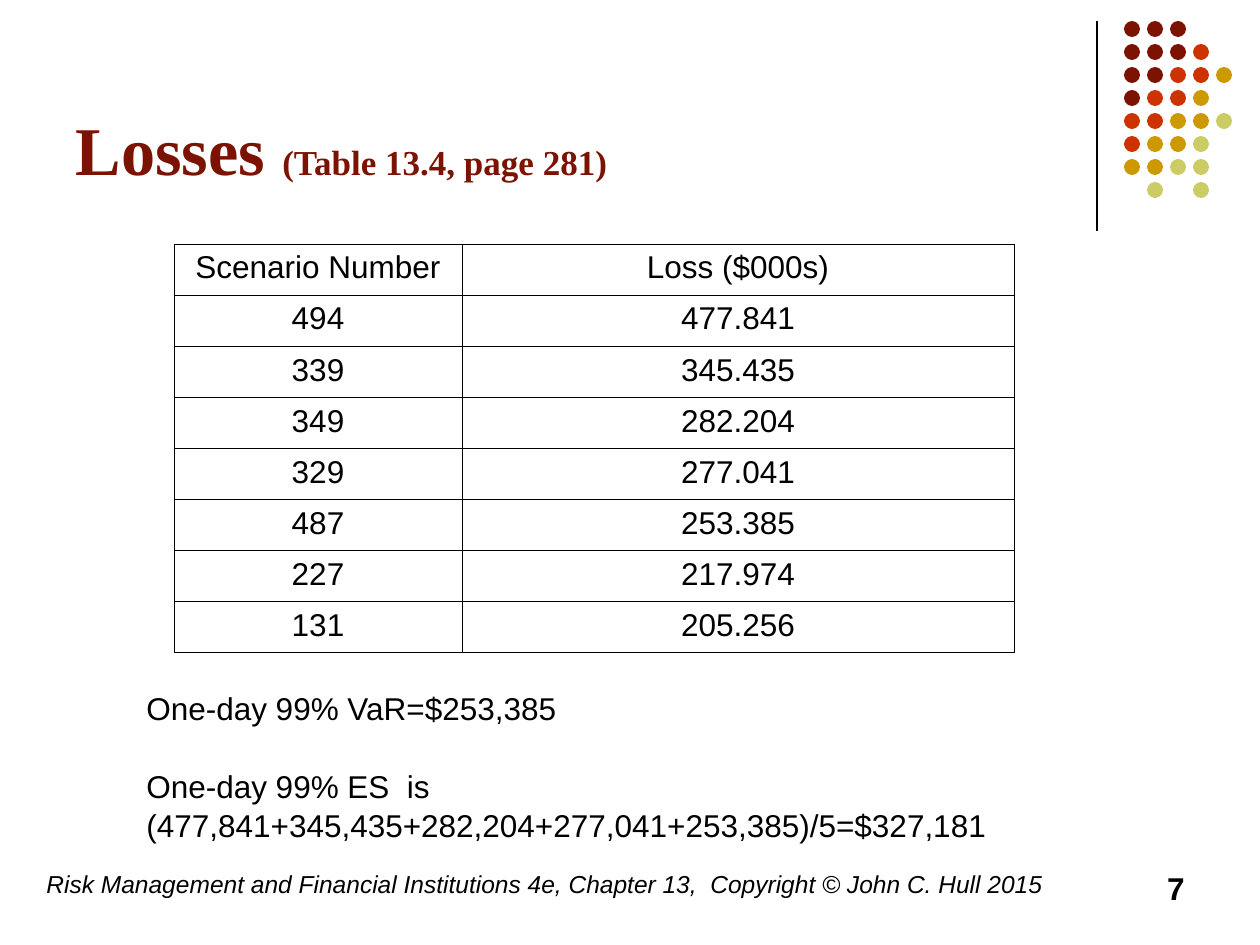
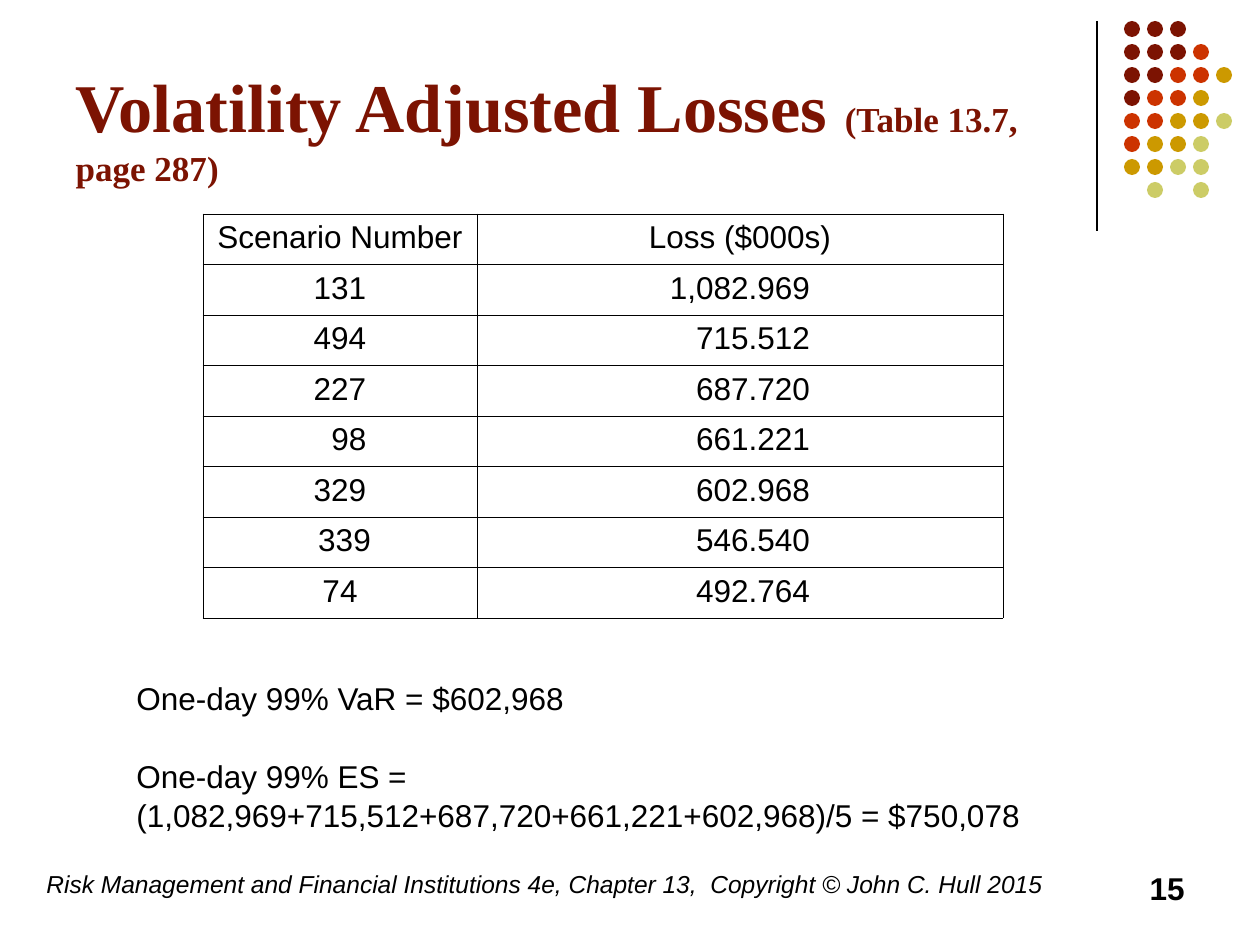
from lxml import etree
from pptx import Presentation
from pptx.dml.color import RGBColor
from pptx.enum.shapes import MSO_CONNECTOR, MSO_SHAPE
from pptx.enum.text import MSO_ANCHOR, MSO_AUTO_SIZE, PP_ALIGN
from pptx.oxml import parse_xml
from pptx.oxml.ns import nsdecls, qn
from pptx.util import Pt

EMU_PER_PX = 914400 / 126
TITLE_ONLY = 5
LEFT, CENTER, RIGHT = PP_ALIGN.LEFT, PP_ALIGN.CENTER, PP_ALIGN.RIGHT
OVAL = MSO_SHAPE.OVAL
STRAIGHT = MSO_CONNECTOR.STRAIGHT

COLORS = {
    "maroon": "7C1302",
    "red": "CC3300",
    "gold": "CC9900",
    "olive": "CCCC66",
    "black": "000000",
}
TITLE_FORMAT = {"font": "Times New Roman", "color": "maroon", "bold": True}
FOOTER = "Risk Management and Financial Institutions 4e, Chapter 13,  Copyright © John C. Hull 2015"
HEADER = ("Scenario Number", "Loss ($000s)")

DOT_KEYS = {"m": "maroon", "r": "red", "g": "gold", "o": "olive"}
DOT_ROWS = ["mmm", "mmmr", "mmrrg", "mrrg", "rrggo", "rggo", "ggoo", " o o"]
DOT_LEFT, DOT_TOP, DOT_PITCH, DOT_SIZE = 1124, 21, 23, 16

SLIDES = [
    {
        "title": "Losses ",
        "reference": "(Table 13.4, page 281)",
        "number": "7",
        "table_box": (174, 244, 840, 409),
        "columns": (288, 552),
        "rows": [
            ("494", "477.841"),
            ("339", "345.435"),
            ("349", "282.204"),
            ("329", "277.041"),
            ("487", "253.385"),
            ("227", "217.974"),
            ("131", "205.256"),
        ],
        "indents": {},
        "result_box": (134, 681, 983, 164),
        "results": [
            "One-day 99% VaR=$253,385",
            "One-day 99% ES  is (477,841+345,435+282,204+277,041+253,385)/5=$327,181",
        ],
    },
    {
        "title": "Volatility Adjusted Losses ",
        "reference": "(Table 13.7, page 287)",
        "number": "15",
        "table_box": (203, 214, 800, 404),
        "columns": (274, 526),
        "rows": [
            ("131", "1,082.969"),
            ("494", "715.512"),
            ("227", "687.720"),
            ("98", "661.221"),
            ("329", "602.968"),
            ("339", "546.540"),
            ("74", "492.764"),
        ],
        # Extra left inset per (row, column) lines up the digits.
        "indents": {(4, 0): 18, (6, 0): 9, **{(row, 1): 26 for row in range(2, 8)}},
        "result_box": (124, 671, 932, 164),
        "results": [
            "One-day 99% VaR = $602,968",
            "One-day 99% ES = (1,082,969+715,512+687,720+661,221+602,968)/5 = $750,078",
        ],
    },
]


def px(*lengths):
    """Convert pixel lengths to a list of EMU."""
    return [round(length * EMU_PER_PX) for length in lengths]


def write(paragraph, text, size=18, font="Arial", color="black",
          bold=False, italic=False, align=LEFT, spacing=None):
    paragraph.alignment = align
    if spacing:
        paragraph.line_spacing = spacing
    run = paragraph.add_run()
    run.text = text
    run.font.size = Pt(size)
    run.font.name = font
    run.font.bold = bold
    run.font.italic = italic
    run.font.color.rgb = RGBColor.from_string(COLORS[color])


presentation = Presentation()
presentation.slide_width, presentation.slide_height = px(1260, 945)

for content in SLIDES:
    slide = presentation.slides.add_slide(presentation.slide_layouts[TITLE_ONLY])
    shapes = slide.shapes

    # Corner ornament
    divider = shapes.add_connector(STRAIGHT, *px(1097, 21, 1097, 231))
    divider.line.color.rgb = RGBColor.from_string(COLORS["black"])
    divider.line.width = Pt(0.75)
    etree.SubElement(divider._element.spPr, qn("a:effectLst"))
    for row, keys in enumerate(DOT_ROWS):
        for column, key in enumerate(keys):
            if key == " ":
                continue
            dot = shapes.add_shape(OVAL, *px(DOT_LEFT + column * DOT_PITCH,
                                             DOT_TOP + row * DOT_PITCH,
                                             DOT_SIZE, DOT_SIZE))
            dot.shadow.inherit = False
            dot.fill.solid()
            dot.fill.fore_color.rgb = RGBColor.from_string(COLORS[DOT_KEYS[key]])
            dot.line.fill.background()

    # Title
    title = shapes.title
    title.left, title.top, title.width, title.height = px(63, 16, 1040, 179)
    title.text_frame.auto_size = MSO_AUTO_SIZE.NONE
    title.text_frame.vertical_anchor = MSO_ANCHOR.BOTTOM
    heading = title.text_frame.paragraphs[0]
    write(heading, content["title"], size=39, **TITLE_FORMAT)
    write(heading, content["reference"], size=20, **TITLE_FORMAT)

    # Loss table
    table_rows = [HEADER] + content["rows"]
    table = shapes.add_table(len(table_rows), len(HEADER),
                             *px(*content["table_box"])).table
    table.first_row = table.horz_banding = False
    for column, width in zip(table.columns, px(*content["columns"])):
        column.width = width
    for row, values in enumerate(table_rows):
        for column, value in enumerate(values):
            cell = table.cell(row, column)
            indent = content["indents"].get((row, column), 0)
            cell.margin_left, cell.margin_right = px(12 + indent, 12)
            cell_properties = cell._tc.get_or_add_tcPr()
            for side in ("lnL", "lnR", "lnT", "lnB"):
                cell_properties.append(parse_xml(
                    f'<a:{side} {nsdecls("a")} w="{Pt(0.45)}"><a:solidFill>'
                    f'<a:srgbClr val="{COLORS["black"]}"/></a:solidFill></a:{side}>'))
            cell.fill.background()
            write(cell.text_frame.paragraphs[0], value, align=CENTER)

    # Results, footer and slide number
    text_boxes = [
        (content["result_box"], content["results"], {}),
        ((34, 861, 1042, 63), [FOOTER], {"size": 14, "italic": True}),
        ((903, 861, 294, 63), [content["number"]], {"bold": True, "align": RIGHT}),
    ]
    for box, lines, text_format in text_boxes:
        frame = shapes.add_textbox(*px(*box)).text_frame
        frame.word_wrap = True
        for index, line in enumerate(lines):
            paragraph = frame.add_paragraph() if index else frame.paragraphs[0]
            write(paragraph, line, spacing=1.05, **text_format)
            if index:
                paragraph.space_before = Pt(21.7)

presentation.save("out.pptx")
